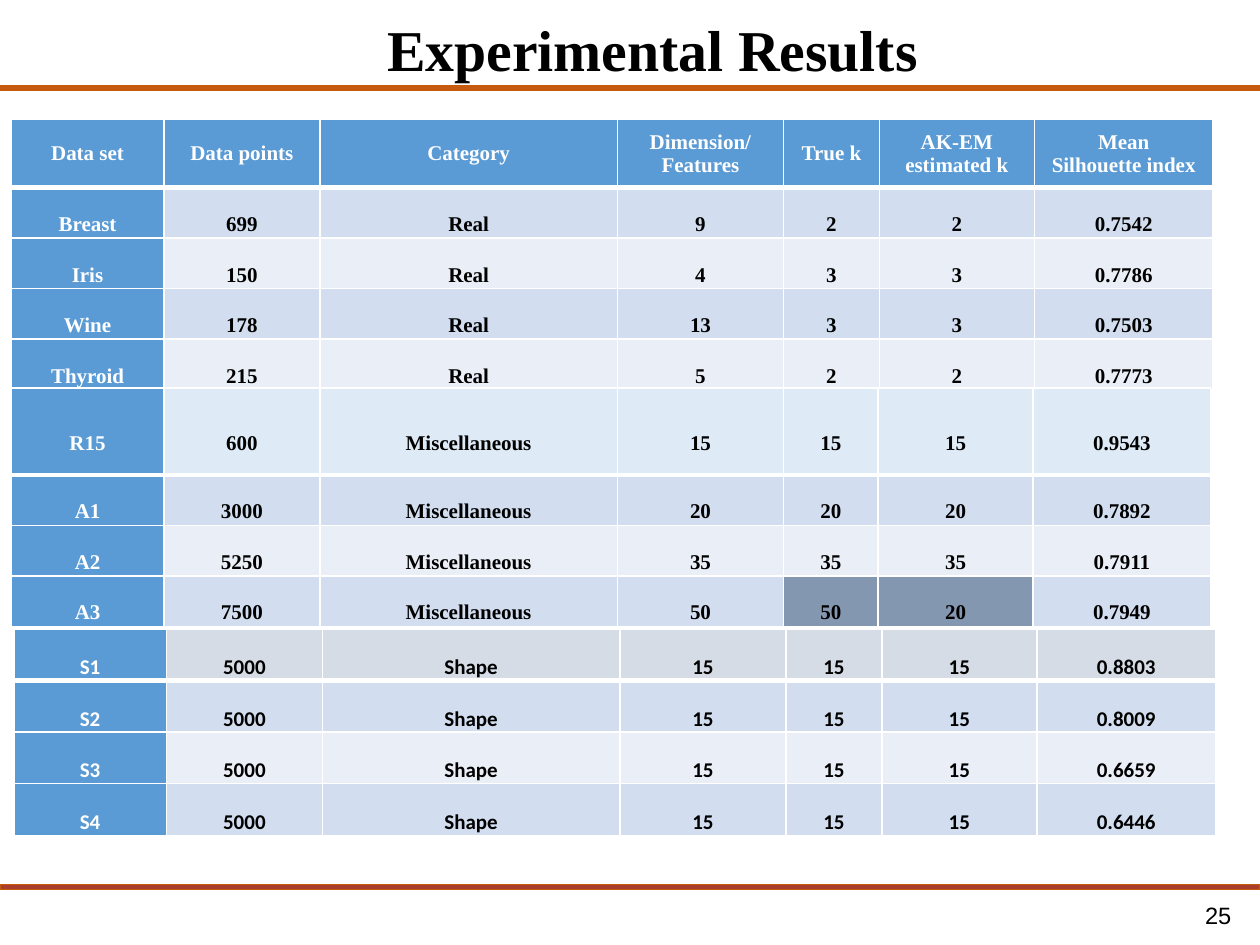
from lxml.etree import SubElement
from pptx import Presentation
from pptx.dml.color import RGBColor
from pptx.enum.shapes import MSO_SHAPE
from pptx.enum.text import MSO_ANCHOR, PP_ALIGN
from pptx.oxml.ns import qn
from pptx.util import Inches, Pt

COLORS = {
    "black": "000000", "white": "FFFFFF", "blue": "5B9BD5",
    "band": "D2DEEF", "light": "EAEFF7", "misc": "DEEBF7",
    "shape": "D6DCE5", "mismatch": "8497B0",
    "orange": "C55A11", "rust": "AA3E2C",
}
SERIF = "Times New Roman"
COLS = [1.21, 1.24, 2.36, 1.32, 0.76, 1.23, 1.42]
MISC_COLS = [1.21, 1.24, 2.36, 1.32, 0.75, 1.23, 1.41]

REAL = [
    ["Data set", "Data points", "Category", "Dimension/\nFeatures", "True k",
     "AK-EM estimated k", "Mean\vSilhouette index"],
    ["Breast", "699", "Real", "9", "2", "2", "0.7542"],
    ["Iris", "150", "Real", "4", "3", "3", "0.7786"],
    ["Wine", "178", "Real", "13", "3", "3", "0.7503"],
    ["Thyroid", "215", "Real", "5", "2", "2", "0.7773"],
]
MISC = [
    ["R15", "600", "Miscellaneous", "15", "15", "15", "0.9543"],
    ["A1", "3000", "Miscellaneous", "20", "20", "20", "0.7892"],
    ["A2", "5250", "Miscellaneous", "35", "35", "35", "0.7911"],
    ["A3", "7500", "Miscellaneous", "50", "50", "20", "0.7949"],
]
SHAPE = [
    [name, "5000", "Shape", "15", "15", "15", index]
    for name, index in [("S1", "0.8803"), ("S2", "0.8009"),
                        ("S3", "0.6659"), ("S4", "0.6446")]
]


def rgb(name):
    return RGBColor.from_string(COLORS[name])


def put_text(tf, text, size=12, font=SERIF, color="black", bold=True,
             align=PP_ALIGN.CENTER, spacing=None):
    tf.word_wrap = True
    tf.text = text
    for p in tf.paragraphs:
        p.alignment = align
        if spacing:
            p.line_spacing = spacing
        for r in p.runs:
            r.font.size = Pt(size)
            r.font.name = font
            r.font.bold = bold
            r.font.color.rgb = rgb(color)


def add_title(s, text):
    sp = s.shapes.title
    sp.left, sp.top = Inches(1.43), Inches(-0.24)
    sp.width, sp.height = Inches(7.5), Inches(0.96)
    sp.text_frame.vertical_anchor = MSO_ANCHOR.BOTTOM
    put_text(sp.text_frame, text, size=33, spacing=0.9)


def add_bar(s, top, fill):
    sp = s.shapes.add_shape(MSO_SHAPE.RECTANGLE, 0, Inches(top),
                            Inches(10), Inches(0.04))
    sp.shadow.inherit = False
    sp.fill.solid()
    sp.fill.fore_color.rgb = rgb(fill)
    sp.line.color.rgb = rgb("orange")
    sp.line.width = Pt(1)


def add_page_number(s, text):
    sp = s.shapes.add_textbox(Inches(7.62), Inches(7.11), Inches(2.25), Inches(0.3))
    sp.text_frame.vertical_anchor = MSO_ANCHOR.MIDDLE
    put_text(sp.text_frame, text, size=13.5, font="Arial", bold=False,
             align=PP_ALIGN.RIGHT)


def set_borders(cell, top, bottom):
    tc_pr = cell._tc.get_or_add_tcPr()
    for side, width in (("L", 1), ("R", 1), ("T", top), ("B", bottom)):
        ln = SubElement(tc_pr, qn(f"a:ln{side}"), w=str(Pt(width)))
        fill = SubElement(ln, qn("a:solidFill"))
        SubElement(fill, qn("a:srgbClr"), val=COLORS["white"])


def format_cell(cell, text, fill, top, bottom, **text_format):
    cell.margin_left = cell.margin_right = Inches(0.07)
    cell.margin_top = cell.margin_bottom = 0
    cell.vertical_anchor = MSO_ANCHOR.MIDDLE
    set_borders(cell, top, bottom)
    cell.fill.solid()
    cell.fill.fore_color.rgb = rgb(fill)
    put_text(cell.text_frame, text, **text_format)


def add_results(s, left, top, rows, heights, first_fill, cols=COLS,
                font=SERIF, header=False, marked=()):
    tbl = s.shapes.add_table(len(rows), len(cols), Inches(left), Inches(top),
                             Inches(sum(cols)), Inches(sum(heights))).table
    for column, width in zip(tbl.columns, cols):
        column.width = Inches(width)
    for i, row in enumerate(rows):
        tbl.rows[i].height = Inches(heights[i])
        row_fill = first_fill if i == 0 else "band" if i % 2 else "light"
        is_header = header and i == 0
        for j, text in enumerate(row):
            fill = "blue" if j == 0 else "mismatch" if (i, j) in marked else row_fill
            format_cell(tbl.cell(i, j), text, fill,
                        top=3 if i == 1 else 1, bottom=3 if i == 0 else 1,
                        font=font, color="white" if j == 0 or is_header else "black",
                        spacing=None if is_header else 2)


def main():
    prs = Presentation()
    prs.slide_width, prs.slide_height = Inches(10), Inches(7.5)
    s = prs.slides.add_slide(prs.slide_layouts[5])
    add_page_number(s, "25")
    add_bar(s, 7.02, "rust")
    add_bar(s, 0.68, "orange")
    add_title(s, "Experimental Results")
    add_results(s, 0.09, 0.95, REAL, [0.54] + [0.37] * 4, "blue", header=True)
    add_results(s, 0.09, 3.08, MISC, [0.69] + [0.37] * 3, "misc",
                cols=MISC_COLS, marked={(3, 4), (3, 5)})
    add_results(s, 0.11, 4.99, SHAPE, [0.41] * 4, "shape", font="Calibri")
    prs.save("out.pptx")


if __name__ == "__main__":
    main()
